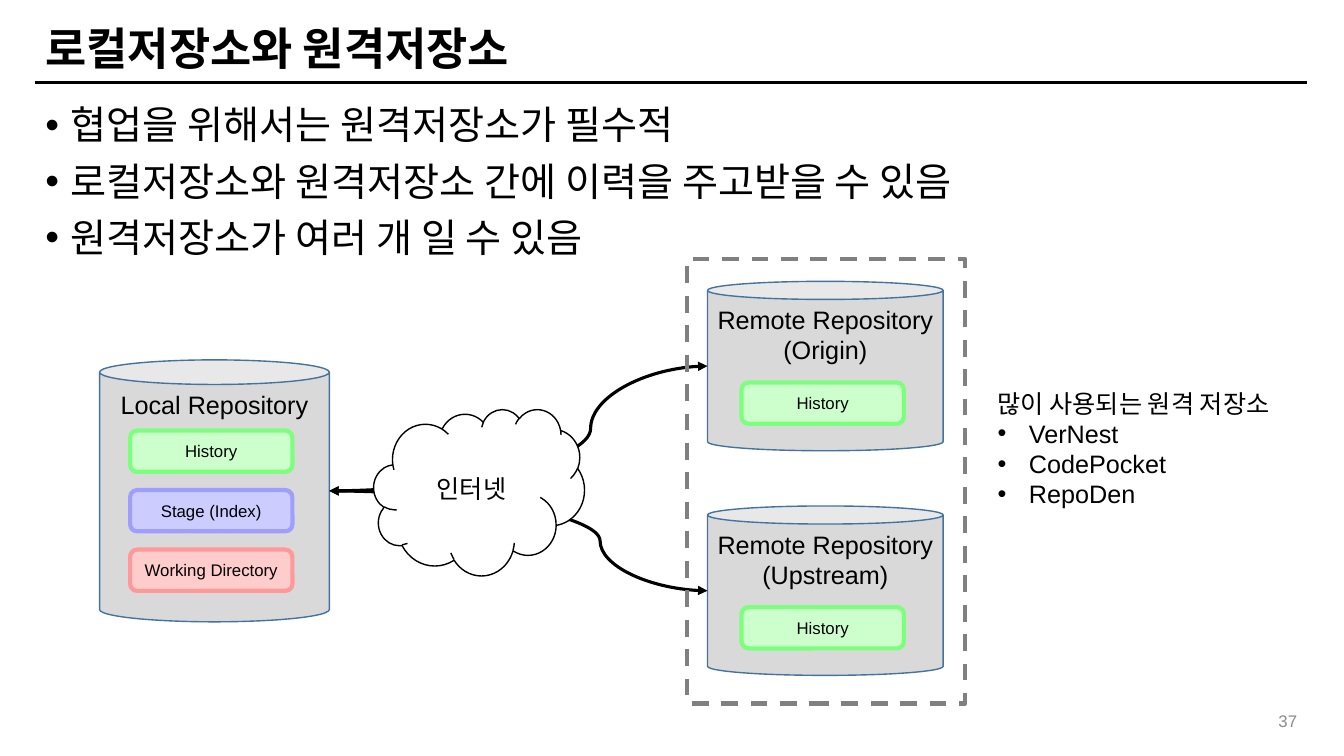
from lxml import etree
from pptx import Presentation
from pptx import util as u
from pptx.dml import color
from pptx.enum import dml, shapes, text
from pptx.oxml import ns

COLOURS = {
    "black": "000000", "white": "FFFFFF", "can": "D9D9D9", "can edge": "43739E",
    "green": "CCFFCC", "green edge": "7CFF7C", "blue": "CCCCFF", "blue edge": "9E9EFF",
    "red": "FFCCCC", "red edge": "FF9999", "frame": "808080", "number": "8C8C8C",
}
RGB = {name: color.RGBColor.from_string(value) for name, value in COLOURS.items()}
KIND = shapes.MSO_SHAPE
ALIGN = text.PP_ALIGN
ANCHOR = text.MSO_ANCHOR


def write(frame, lines, font, layout, colour="black", indent=0, first_bullet=0):
    for number, line in enumerate(lines):
        para = frame.paragraphs[0] if number == 0 else frame.add_paragraph()
        if indent and number >= first_bullet:
            properties = para._p.get_or_add_pPr()
            properties.set("marL", str(u.Cm(indent)))
            properties.set("indent", str(-u.Cm(indent)))
            etree.SubElement(properties, ns.qn("a:buFont")).set("typeface", "Arial")
            etree.SubElement(properties, ns.qn("a:buChar")).set("char", "•")
        for name, value in layout.items():
            setattr(para, name, value)
        if number == 0:
            para.space_before = u.Pt(0)
        span = para.add_run()
        span.text = line
        for name, value in {"name": "Arial", **font}.items():
            setattr(span.font, name, value)
        span.font.color.rgb = RGB[colour]


def add_block(kind, place, fill, edge, weight, lines=(), size=18, anchor=ANCHOR.MIDDLE):
    block = page.shapes.add_shape(kind, *map(u.Cm, place))
    block.shadow.inherit = False
    if fill:
        block.fill.solid()
        block.fill.fore_color.rgb = RGB[fill]
    else:
        block.fill.background()
    block.line.color.rgb = RGB[edge]
    block.line.width = u.Pt(weight)
    block.text_frame.vertical_anchor = anchor
    write(block.text_frame, lines, {"size": u.Pt(size)}, {"alignment": ALIGN.CENTER})
    return block


deck = Presentation()
deck.slide_width, deck.slide_height = u.Cm(33.87), u.Cm(19.05)
page = deck.slides.add_slide(deck.slide_layouts[1])

title, body = page.placeholders
for holder, place, anchor in (
    (title, (0.89, 0.66, 32.05, 1.27), ANCHOR.MIDDLE),
    (body, (0.89, 2.54, 32.05, 14.63), ANCHOR.TOP),
):
    holder.left, holder.top, holder.width, holder.height = map(u.Cm, place)
    holder.text_frame.auto_size = text.MSO_AUTO_SIZE.NONE
    holder.text_frame.vertical_anchor = anchor
write(title.text_frame, ["로컬저장소와 원격저장소"], {"size": u.Pt(32), "bold": True},
      {"alignment": ALIGN.LEFT, "line_spacing": 0.9})
write(body.text_frame,
      ["협업을 위해서는 원격저장소가 필수적",
       "로컬저장소와 원격저장소 간에 이력을 주고받을 수 있음",
       "원격저장소가 여러 개 일 수 있음"],
      {"size": u.Pt(28)}, {"line_spacing": 0.9, "space_before": u.Pt(10)}, indent=0.64)

local = add_block(KIND.CAN, (2.51, 9.07, 5.79, 6.6), "can", "can edge", 1,
                  ["Local Repository"], anchor=ANCHOR.TOP)
local.adjustments[0] = 0.107
areas = (("History", "green"), ("Stage (Index)", "blue"), ("Working Directory", "red"))
for row, (label, colour) in enumerate(areas):
    area = add_block(KIND.ROUNDED_RECTANGLE, (3.28, 10.85 + 1.5 * row, 4.09, 1.04),
                     colour, colour + " edge", 3, [label], 12)
    area.text_frame.margin_left = area.text_frame.margin_right = 0

remotes = []
for top, role in ((7.09, "(Origin)"), (12.75, "(Upstream)")):
    remote = add_block(KIND.CAN, (17.83, top, 5.94, 4.27), "can", "can edge", 1,
                       ["Remote Repository", role], anchor=ANCHOR.TOP)
    remote.adjustments[0] = 0.107
    remotes.append(remote)
    add_block(KIND.ROUNDED_RECTANGLE, (18.69, top + 2.55, 4.09, 1.04),
              "green", "green edge", 3, ["History"], 12)

links = [(shapes.MSO_CONNECTOR.STRAIGHT, (u.Cm(0.89), u.Cm(2.08), u.Cm(32.94), u.Cm(2.08)), 1.5, None)]
for remote, bend in zip(remotes, (69100, 71600)):
    ends = (local.left + local.width, local.top + local.height // 2,
            remote.left, remote.top + remote.height // 2)
    links.append((shapes.MSO_CONNECTOR.CURVE, ends, 2.25, bend))
for kind, ends, weight, bend in links:
    link = page.shapes.add_connector(kind, *ends)
    link.line.color.rgb = RGB["black"]
    link.line.width = u.Pt(weight)
    outline = link._element.spPr
    if bend:
        guides = outline.find(ns.qn("a:prstGeom")).find(ns.qn("a:avLst"))
        guide = etree.SubElement(guides, ns.qn("a:gd"))
        guide.set("name", "adj1")
        guide.set("fmla", f"val {bend}")
        for tip in ("a:headEnd", "a:tailEnd"):
            etree.SubElement(outline.find(ns.qn("a:ln")), ns.qn(tip)).set("type", "triangle")
    etree.SubElement(outline, ns.qn("a:effectLst"))

add_block(KIND.CLOUD, (9.42, 10.31, 5.31, 4.19), "white", "black", 1, ["인터넷"])
remote_frame = add_block(KIND.RECTANGLE, (17.32, 6.53, 7.01, 11.2), None, "frame", 3)
remote_frame.line.dash_style = dml.MSO_LINE.DASH

services = page.shapes.add_textbox(*map(u.Cm, (24.89, 9.65, 8.1, 3.33)))
services.text_frame.word_wrap = False
services.text_frame.auto_size = text.MSO_AUTO_SIZE.SHAPE_TO_FIT_TEXT
write(services.text_frame, ["많이 사용되는 원격 저장소", "VerNest", "CodePocket", "RepoDen"],
      {"size": u.Pt(18)}, {"alignment": ALIGN.LEFT}, indent=0.79, first_bullet=1)

page_number = page.shapes.add_textbox(*map(u.Cm, (25.32, 17.65, 7.62, 1.02)))
page_number.text_frame.word_wrap = True
page_number.text_frame.vertical_anchor = ANCHOR.MIDDLE
write(page_number.text_frame, ["37"], {"size": u.Pt(12)}, {"alignment": ALIGN.RIGHT}, "number")

deck.save("out.pptx")
